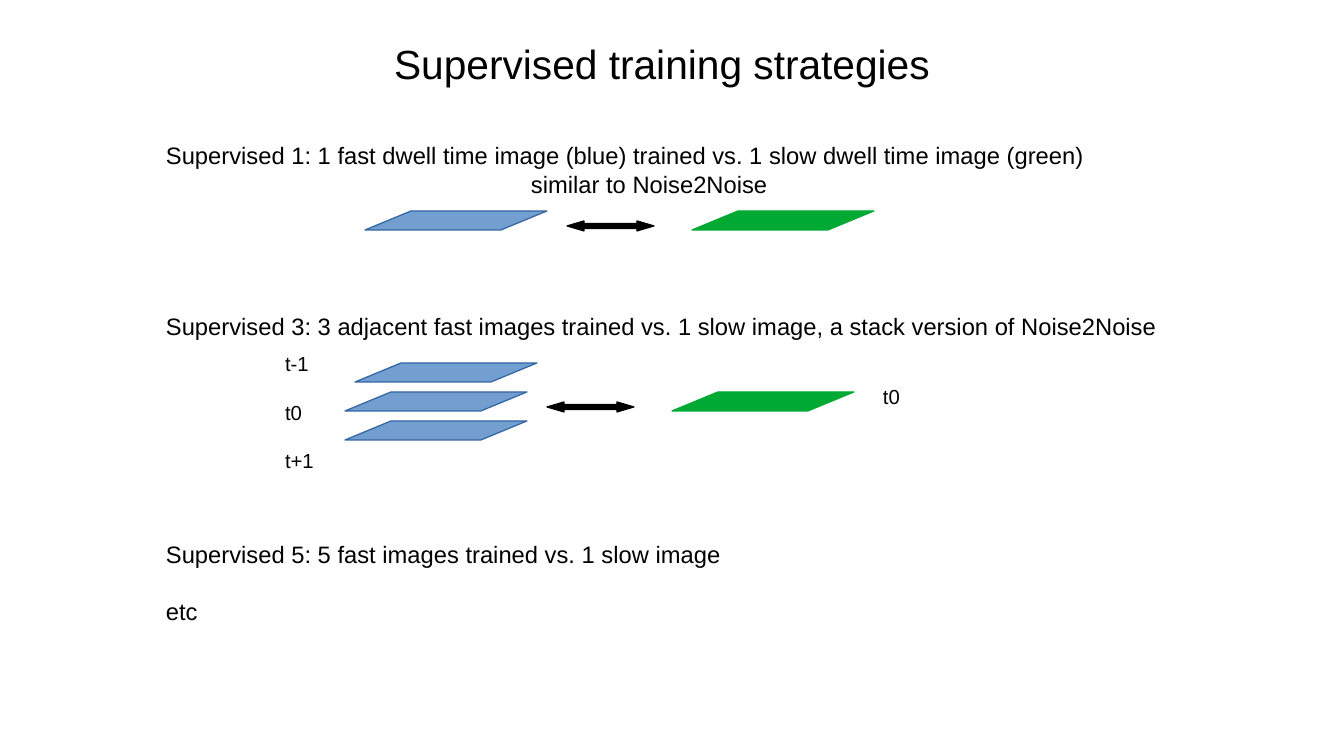
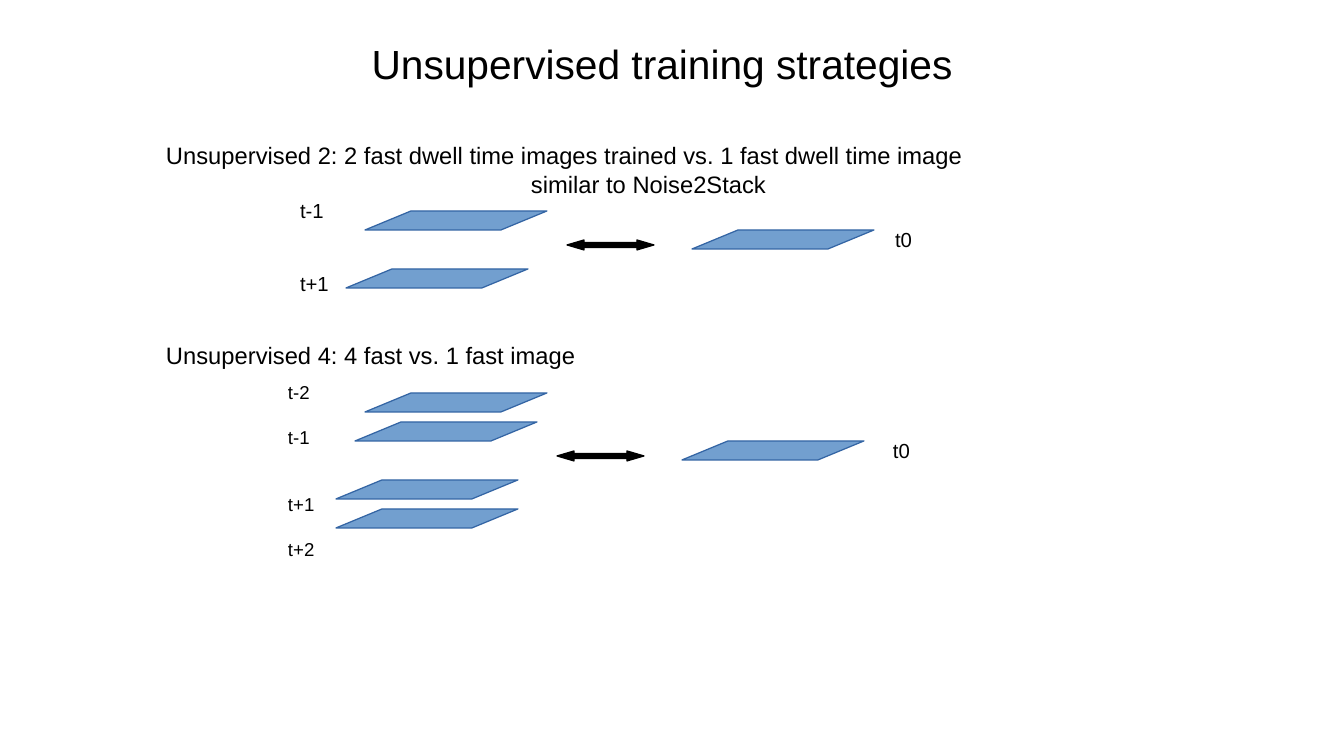
from pptx import Presentation
from pptx.dml.color import RGBColor
from pptx.enum.shapes import MSO_SHAPE as Preset
from pptx.enum.text import MSO_ANCHOR as Anchor, PP_ALIGN as Align
from pptx.util import Pt

PX = 914400 / 122
SLIDE_SIZE = (1344, 756)
TITLE_BOX = (57, 0, 1210, 126)
BODY_BOX = (154, 135, 1040, 465)

BLACK = RGBColor(0x00, 0x00, 0x00)
BLUE = RGBColor(0x72, 0x9F, 0xCF)
BLUE_EDGE = RGBColor(0x34, 0x65, 0xA4)
GREEN = RGBColor(0x00, 0xA9, 0x33)
FAST = (BLUE, BLUE_EDGE)
SLOW = (GREEN, GREEN)

SHEET_WIDTH, SHEET_HEIGHT, SHEET_SLANT = 182, 19, 46
SHEET_STEP = 29
ARROW_WIDTH, ARROW_HEIGHT, ARROW_HEAD = 87, 10, 17
ARROW_LEFT, TARGET_LEFT = 202, 327
SUBLINE_INDENT = 365
LINE_FACTOR = 1.2


def px(length):
    return round(length * PX)


def set_all(target, values):
    for name, value in values.items():
        setattr(target, name, value)


def add_text(shapes, box, lines, size, frame_format=None, align=Align.LEFT):
    text_box = shapes.add_textbox(*map(px, box))
    frame = text_box.text_frame
    set_all(frame, {"word_wrap": True, **(frame_format or {})})
    for index, (text, blank_lines, indent) in enumerate(lines):
        paragraph = frame.add_paragraph() if index else frame.paragraphs[0]
        if indent:
            paragraph._p.get_or_add_pPr().set("marL", str(px(indent)))
        paragraph.text = text
        paragraph.alignment = align
        if blank_lines:
            paragraph.space_before = Pt(blank_lines * LINE_FACTOR * size)
        set_all(paragraph.font, {"name": "Arial", "size": Pt(size)})
        paragraph.font.color.rgb = BLACK


def add_figure(shapes, preset, box, colors, adjustments):
    shape = shapes.add_shape(preset, *map(px, box))
    shape.shadow.inherit = False
    fill_color, line_color = colors
    shape.fill.solid()
    shape.fill.fore_color.rgb = fill_color
    shape.line.color.rgb = line_color
    shape.line.width = Pt(0.75)
    for index, value in enumerate(adjustments):
        shape.adjustments[index] = value


def add_sheet(shapes, left, top, colors):
    add_figure(shapes, Preset.PARALLELOGRAM, (left, top, SHEET_WIDTH, SHEET_HEIGHT),
               colors, [SHEET_SLANT / SHEET_HEIGHT])


def add_diagram(slide, left, top, sheets, target_top, target_colors,
                labels=(), label_size=12, label_offset=(0, 0), target_label=None):
    shapes = slide.shapes.add_group_shape().shapes
    for slot, shift in sheets:
        add_sheet(shapes, left + shift, top + slot * SHEET_STEP, FAST)
    add_figure(shapes, Preset.LEFT_RIGHT_ARROW,
               (left + ARROW_LEFT, top + target_top + 10, ARROW_WIDTH, ARROW_HEIGHT),
               (BLACK, BLACK), [0.5, ARROW_HEAD / ARROW_HEIGHT])
    add_sheet(shapes, left + TARGET_LEFT, top + target_top, target_colors)
    if labels:
        label_left, label_top = label_offset
        add_text(shapes, (left + label_left, top + label_top, 60, 126),
                 [(text, blank_lines, 0) for text, blank_lines in labels], label_size)
    if target_label:
        label_left, label_top = target_label
        add_text(shapes, (left + label_left, top + label_top, 50, 36), [("t0", 0, 0)], 12)


def add_strategy_slide(presentation, title, lines, diagrams):
    slide = presentation.slides.add_slide(presentation.slide_layouts[6])
    margins = dict.fromkeys(("margin_left", "margin_top", "margin_right", "margin_bottom"), 0)
    add_text(slide.shapes, TITLE_BOX, [(title, 0, 0)], 24,
             {"vertical_anchor": Anchor.MIDDLE, **margins}, Align.CENTER)
    add_text(slide.shapes, BODY_BOX, lines, 14)
    for diagram in diagrams:
        add_diagram(slide, **diagram)


SUPERVISED_LINES = [
    ("Supervised 1: 1 fast dwell time image (blue) trained vs. 1 slow dwell time image (green)", 0, 0),
    ("similar to Noise2Noise", 0, SUBLINE_INDENT),
    ("Supervised 3: 3 adjacent fast images trained vs. 1 slow image, a stack version of Noise2Noise", 4, 0),
    ("Supervised 5: 5 fast images trained vs. 1 slow image", 7, 0),
    ("etc", 1, 0),
]
SUPERVISED_DIAGRAMS = [
    dict(left=365, top=211, sheets=[(0, 0)], target_top=0, target_colors=SLOW),
    dict(left=345, top=363, sheets=[(0, 10), (1, 0), (2, 0)],
         target_top=29, target_colors=SLOW,
         labels=[("t-1", 0), ("t0", 1), ("t+1", 1)],
         label_offset=(-72, -18), target_label=(526, 15)),
]
UNSUPERVISED_LINES = [
    ("Unsupervised 2: 2 fast dwell time images trained vs. 1 fast dwell time image", 0, 0),
    ("similar to Noise2Stack", 0, SUBLINE_INDENT),
    ("Unsupervised 4: 4 fast vs. 1 fast image", 5, 0),
]
UNSUPERVISED_DIAGRAMS = [
    dict(left=365, top=211, sheets=[(0, 0), (2, -19)], target_top=19, target_colors=FAST,
         labels=[("t-1", 0), ("t+1", 2)],
         label_offset=(-77, -19), target_label=(518, 10)),
    dict(left=355, top=393, sheets=[(0, 10), (1, 0), (3, -19), (4, -19)],
         target_top=48, target_colors=FAST,
         labels=[("t-2", 0), ("t-1", 1), ("t+1", 2), ("t+2", 1)], label_size=11,
         label_offset=(-79, -18), target_label=(526, 39)),
]


def main():
    presentation = Presentation()
    width, height = SLIDE_SIZE
    set_all(presentation, {"slide_width": px(width), "slide_height": px(height)})
    add_strategy_slide(presentation, "Supervised training strategies",
                       SUPERVISED_LINES, SUPERVISED_DIAGRAMS)
    add_strategy_slide(presentation, "Unsupervised training strategies",
                       UNSUPERVISED_LINES, UNSUPERVISED_DIAGRAMS)
    presentation.save("out.pptx")


if __name__ == "__main__":
    main()
